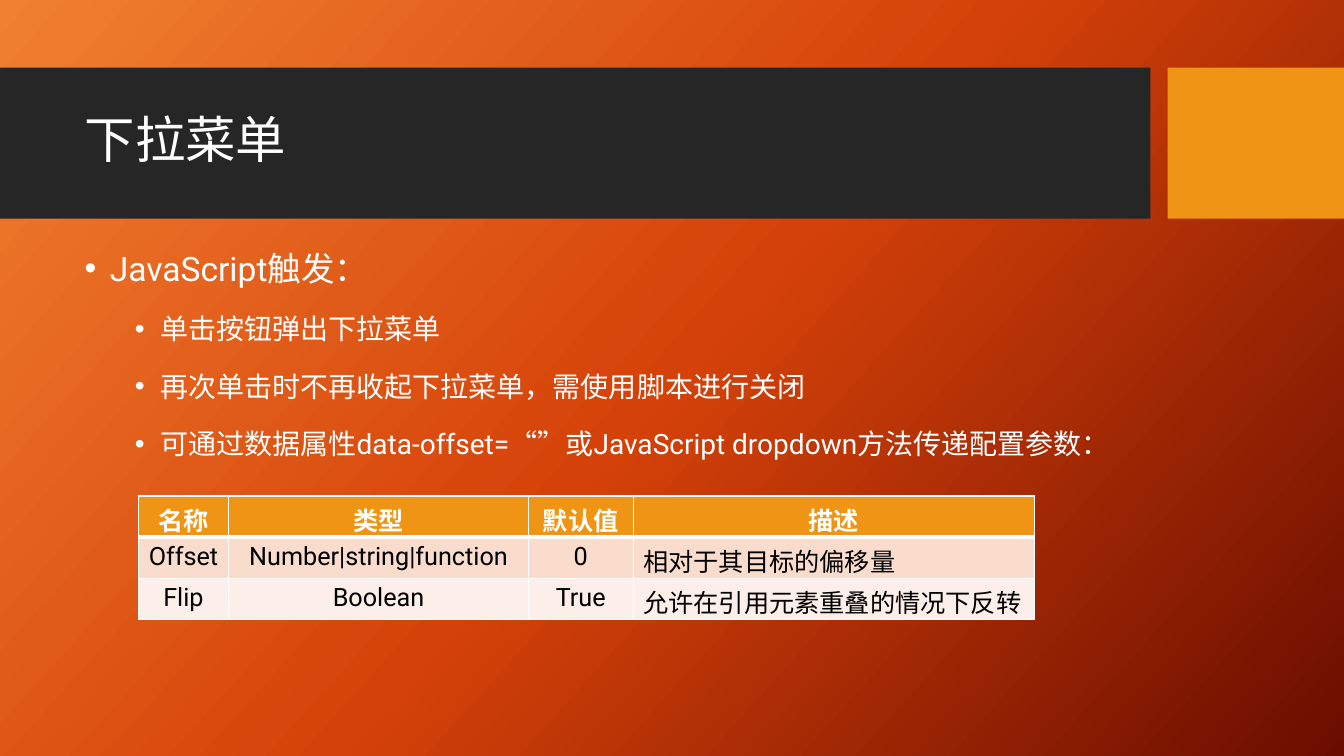
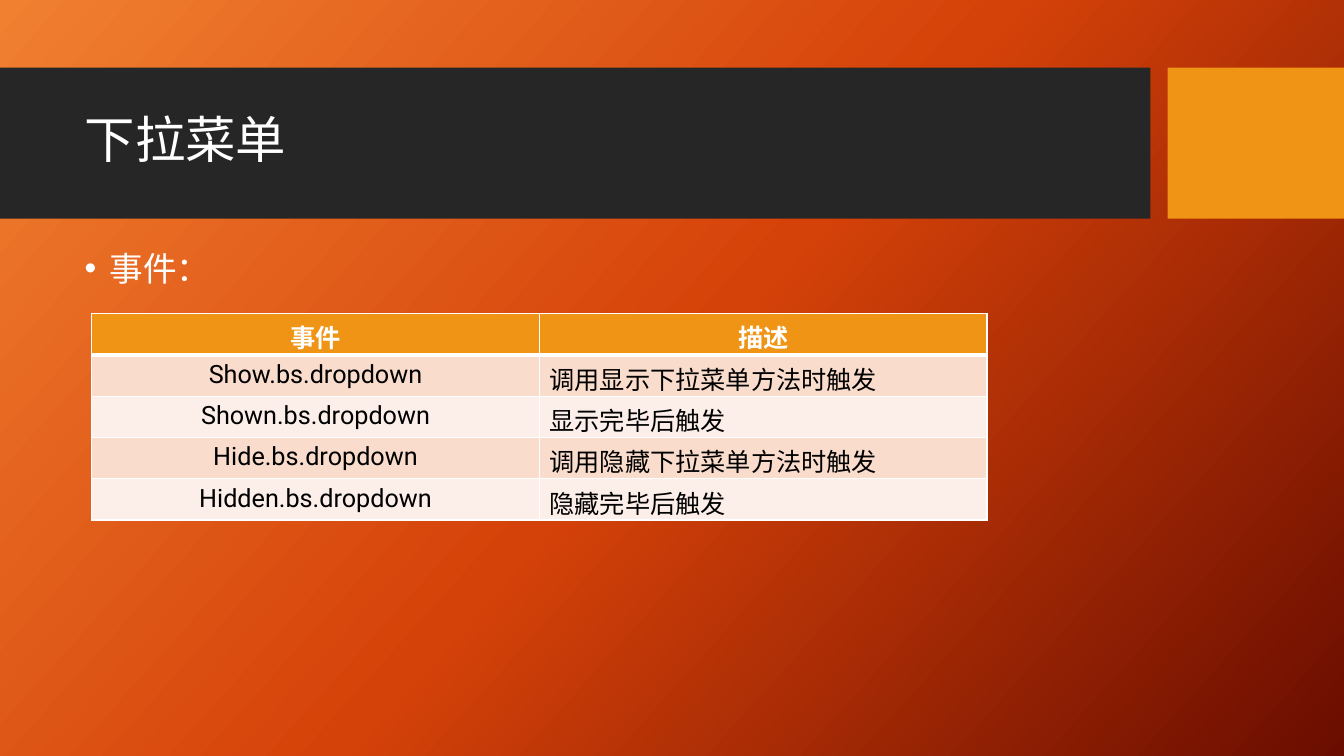
from copy import deepcopy
from pptx import Presentation
from pptx import util as u
from pptx.dml.color import RGBColor
from pptx.enum import lang, shapes, text
from pptx.oxml import ns, parse_xml

WHITE = RGBColor(0xFF, 0xFF, 0xFF)
BLACK = RGBColor(0, 0, 0)
DARK = RGBColor(0x26, 0x26, 0x26)
GOLD = RGBColor(0xF0, 0x94, 0x15)
BANDS = RGBColor(0xF9, 0xDC, 0xCC), RGBColor(0xFC, 0xEE, 0xE8)
GLOW = (RGBColor(0xF1, 0x80, 0x31), RGBColor(0xD5, 0x42, 0x09),
        RGBColor(0x6A, 0x0D, 0x00))
FONT = "Roboto"
LEFT = text.PP_ALIGN.LEFT
MID = text.PP_ALIGN.CENTER
ROW = 0.41


def write(frame, words, size=18, color=WHITE, bold=False, align=LEFT,
          line=None, before=0, indent=None, level=0):
    para = frame.paragraphs[0]
    if para.runs:
        para = frame.add_paragraph()
    para.level = level
    para.alignment = align
    if indent is not None:
        props = para._p.get_or_add_pPr()
        props.set("marL", str(u.Inches(indent)))
        props.set("indent", str(u.Inches(-0.25)))
        for tag in ('buFont typeface="Arial"', 'buChar char="•"'):
            props.append(parse_xml(f"<a:{tag} {ns.nsdecls('a')}/>"))
    if line:
        para.line_spacing = line
    para.space_before = u.Pt(before)
    run = para.add_run()
    run.text = words
    font = run.font
    font.name, font.size, font.bold = FONT, u.Pt(size), bold
    font.color.rgb = color
    font.language_id = lang.MSO_LANGUAGE_ID.SIMPLIFIED_CHINESE


def glow(slide):
    fill = slide.background.fill
    fill.gradient()
    fill.gradient_angle = 318
    stops = slide.element.find(".//" + ns.qn("a:gsLst"))
    stops.append(deepcopy(stops[-1]))
    for num, stop in enumerate(fill.gradient_stops):
        stop.position = num / 2
        stop.color.rgb = GLOW[num]


def band(slide, left, width, color):
    rect = slide.shapes.add_shape(
        shapes.MSO_SHAPE.RECTANGLE, u.Inches(left), u.Inches(0.67),
        u.Inches(width), u.Inches(1.5))
    rect.shadow.inherit = False
    rect.fill.solid()
    rect.fill.fore_color.rgb = color
    rect.line.fill.background()


def start(deck, title):
    slide = deck.slides.add_slide(deck.slide_layouts[5])
    glow(slide)
    band(slide, 0, 11.41, DARK)
    band(slide, 11.58, 1.75, GOLD)
    head = slide.shapes.title
    head.element.getparent().append(head.element)
    head.left, head.top = u.Inches(0.74), u.Inches(0.82)
    head.width, head.height = u.Inches(10.51), u.Inches(1.18)
    frame = head.text_frame
    frame.auto_size = text.MSO_AUTO_SIZE.NONE
    frame.vertical_anchor = text.MSO_ANCHOR.MIDDLE
    write(frame, title, size=36, line=0.9)
    return slide


def bullets(slide, lead, items=()):
    box = slide.shapes.add_textbox(u.Inches(0.74), u.Inches(2.21),
                                   u.Inches(10.51), u.Inches(5.21))
    frame = box.text_frame
    frame.word_wrap = True
    write(frame, lead, size=24, line=1.5, indent=0.25)
    for item in items:
        write(frame, item, size=20, line=1.5, before=5, indent=0.75, level=1)


def border(cell, row):
    props = cell._tc.get_or_add_tcPr()
    thick = {0: "B", 1: "T"}.get(row)
    for side in "LRTB":
        width = u.Pt(3 if side == thick else 1)
        props.append(parse_xml(
            f'<a:ln{side} {ns.nsdecls("a")} w="{width}"><a:solidFill>'
            f'<a:srgbClr val="{WHITE}"/></a:solidFill></a:ln{side}>'))


def grid(slide, left, top, widths, rows):
    table = slide.shapes.add_table(
        len(rows), len(widths), u.Inches(left), u.Inches(top),
        u.Inches(sum(widths)), u.Inches(ROW * len(rows))).table
    for col, width in zip(table.columns, widths):
        col.width = u.Inches(width)
    for r, row in enumerate(rows):
        table.rows[r].height = u.Inches(ROW)
        for c, words in enumerate(row):
            cell = table.cell(r, c)
            border(cell, r)
            cell.fill.solid()
            cell.fill.fore_color.rgb = BANDS[(r - 1) % 2] if r else GOLD
            last = c == len(widths) - 1
            write(cell.text_frame, words, bold=r == 0,
                  color=BLACK if r else WHITE,
                  align=LEFT if r and last else MID)


def main():
    deck = Presentation()
    deck.slide_width, deck.slide_height = u.Inches(13.33), u.Inches(7.5)

    slide = start(deck, "下拉菜单")
    bullets(slide, "JavaScript触发：", [
        "单击按钮弹出下拉菜单",
        "再次单击时不再收起下拉菜单，需使用脚本进行关闭",
        "可通过数据属性data-offset=“”或JavaScript dropdown方法传递配置参数：",
    ])
    grid(slide, 1.37, 4.92, [0.9, 2.97, 1.04, 3.98], [
        ("名称", "类型", "默认值", "描述"),
        ("Offset", "Number|string|function", "0", "相对于其目标的偏移量"),
        ("Flip", "Boolean", "True", "允许在引用元素重叠的情况下反转"),
    ])

    slide = start(deck, "下拉菜单")
    bullets(slide, "事件：")
    grid(slide, 0.91, 3.11, [4.44, 4.44], [
        ("事件", "描述"),
        ("Show.bs.dropdown", "调用显示下拉菜单方法时触发"),
        ("Shown.bs.dropdown", "显示完毕后触发"),
        ("Hide.bs.dropdown", "调用隐藏下拉菜单方法时触发"),
        ("Hidden.bs.dropdown", "隐藏完毕后触发"),
    ])
    deck.save("out.pptx")


if __name__ == "__main__":
    main()
